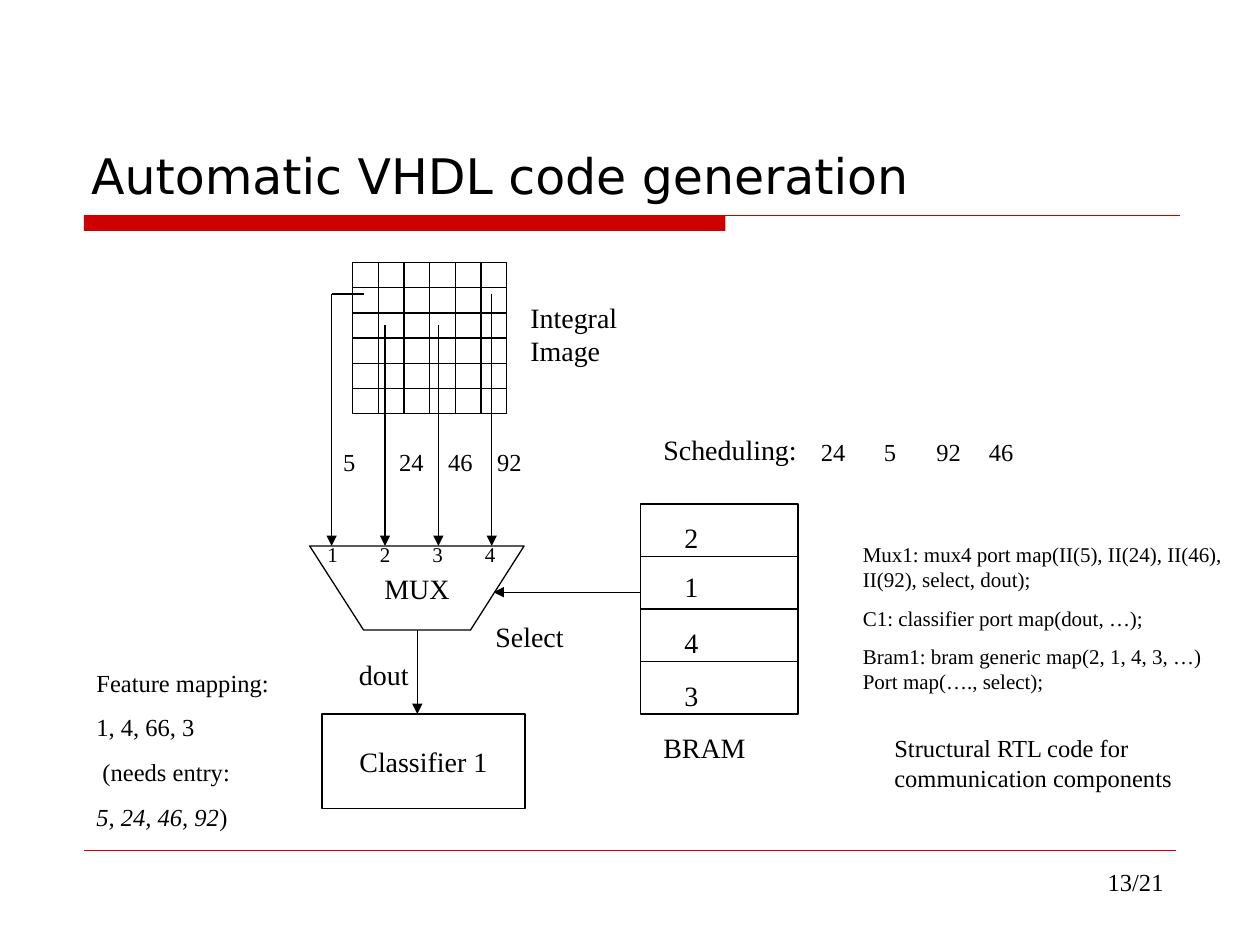
"""Build the slide on automatic VHDL code generation."""
from dataclasses import dataclass
from typing import Any

from lxml import etree
from pptx import Presentation
from pptx import util as u
from pptx.dml.color import RGBColor
from pptx.enum import shapes, text
from pptx.oxml.ns import qn

Point = tuple[float, float]


@dataclass(frozen=True)
class Theme:
    ink: RGBColor = RGBColor(0, 0, 0)
    paper: RGBColor = RGBColor(255, 255, 255)
    accent: RGBColor = RGBColor(0xCC, 0, 0)
    body_font: str = "Times New Roman"
    title_font: str = "DejaVu Sans"
    title: float = 28
    large: float = 16
    medium: float = 14
    small: float = 12
    stroke: float = 0.75
    hairline: float = 0.25
    spacing: float = 0.625


THEME = Theme()


@dataclass(frozen=True)
class Label:
    content: str
    left: float
    top: float
    width: float
    height: float
    size: float = THEME.large
    font: str = THEME.body_font
    spacing: float = THEME.spacing
    align: Any = text.PP_ALIGN.LEFT
    anchor: Any = text.MSO_ANCHOR.TOP
    tabs: tuple[float, ...] = ()
    italics: tuple[str, ...] = ()


@dataclass(frozen=True)
class Wire:
    start: Point
    end: Point
    arrow: bool = False
    color: RGBColor = THEME.ink
    width: float = THEME.stroke


def apply(target: Any, values: dict[str, Any]) -> None:
    for name, value in values.items():
        setattr(target, name, value)


def write_text(box: Any, label: Label, wrap: bool = True) -> None:
    frame = box.text_frame
    apply(frame, {
        "word_wrap": wrap, "vertical_anchor": label.anchor,
        "margin_left": u.Pt(7.2), "margin_right": u.Pt(7.2),
        "margin_top": u.Pt(3.6), "margin_bottom": u.Pt(3.6),
    })
    for index, content in enumerate(label.content.split("\n")):
        para = frame.add_paragraph() if index else frame.paragraphs[0]
        apply(para, {"alignment": label.align,
                     "space_before": u.Pt(label.size * label.spacing)})
        if label.tabs:
            stops = etree.SubElement(para._p.get_or_add_pPr(), qn("a:tabLst"))
            for stop in label.tabs:
                etree.SubElement(stops, qn("a:tab"), pos=str(u.Pt(stop)), algn="l")
        pieces = [(content, False)]
        for phrase in label.italics:
            if phrase in content:
                before, after = content.split(phrase)
                pieces = [(before, False), (phrase, True), (after, False)]
        for piece, italic in pieces:
            if piece:
                span = para.add_run()
                span.text = piece
                apply(span.font, {"name": label.font, "size": u.Pt(label.size),
                                  "italic": italic})
                span.font.color.rgb = THEME.ink


def draw_label(page: Any, label: Label) -> None:
    box = page.shapes.add_textbox(*map(u.Pt, (label.left, label.top, label.width, label.height)))
    write_text(box, label)


def paint(shape: Any, fill: RGBColor, outlined: bool = True) -> Any:
    shape.shadow.inherit = False
    shape.fill.solid()
    shape.fill.fore_color.rgb = fill
    if outlined:
        shape.line.color.rgb = THEME.ink
        shape.line.width = u.Pt(THEME.stroke)
    else:
        shape.line.fill.background()
    return shape


def draw_box(page: Any, left: float, top: float, width: float, height: float,
             fill: RGBColor = THEME.paper, outlined: bool = True) -> Any:
    box = page.shapes.add_shape(shapes.MSO_SHAPE.RECTANGLE,
                                *map(u.Pt, (left, top, width, height)))
    return paint(box, fill, outlined)


def draw_polygon(page: Any, corners: list[Point]) -> Any:
    points = [(u.Pt(x), u.Pt(y)) for x, y in corners]
    builder = page.shapes.build_freeform(*points[0])
    builder.add_line_segments(points[1:], close=True)
    return paint(builder.convert_to_shape(), THEME.paper)


def draw_wire(page: Any, wire: Wire) -> None:
    line = page.shapes.add_connector(shapes.MSO_CONNECTOR.STRAIGHT,
                                     *map(u.Pt, (*wire.start, *wire.end)))
    line.line.color.rgb = wire.color
    line.line.width = u.Pt(wire.width)
    if wire.arrow:
        etree.SubElement(line.line._get_or_add_ln(), qn("a:tailEnd"), type="triangle")
    etree.SubElement(line._element.spPr, qn("a:effectLst"))


def draw_grid(page: Any, left: float, top: float, width: float, height: float,
              columns: int, rows: int) -> None:
    draw_box(page, left, top, width, height)
    for row in range(1, rows):
        y = top + height * row / rows
        draw_wire(page, Wire((left, y), (left + width, y)))
    for column in range(1, columns):
        x = left + width * column / columns
        draw_wire(page, Wire((x, top), (x, top + height)))


def draw_frame(page: Any) -> None:
    draw_box(page, 48, 123, 366.5, 9, THEME.accent, outlined=False)
    draw_wire(page, Wire((48, 123), (674.5, 123), color=THEME.accent))
    draw_wire(page, Wire((48, 486), (672, 486), color=THEME.accent, width=THEME.hairline))
    draw_label(page, Label("13/21", 522, 492, 150, 36, THEME.medium, spacing=0,
                           align=text.PP_ALIGN.RIGHT))
    draw_label(page, Label("Automatic VHDL code generation", 45, 24, 630, 96, THEME.title,
                           THEME.title_font, 0, anchor=text.MSO_ANCHOR.BOTTOM))


def draw_diagram(page: Any) -> None:
    centred = {"spacing": 0, "align": text.PP_ALIGN.CENTER, "anchor": text.MSO_ANCHOR.MIDDLE}
    draw_grid(page, 366, 288, 90, 120, 1, 4)
    draw_grid(page, 201.6, 150, 88, 86.4, 6, 6)
    mux = draw_polygon(page, [(177, 312), (299.5, 312), (268.9, 360), (207.8, 360)])
    write_text(mux, Label("MUX", 177, 312, 122.5, 48, **centred), wrap=False)
    classifier = draw_box(page, 184, 408, 116, 54)
    write_text(classifier, Label("Classifier 1", 184, 408, 116, 54, **centred), wrap=False)
    for index, top in enumerate((168, 186, 186, 168)):
        x = 189.5 + 30.5 * index
        draw_wire(page, Wire((x, top), (x, 312), arrow=True))
    draw_wire(page, Wire((189.5, 168), (208, 168)))
    draw_wire(page, Wire((238.5, 360), (238.5, 408), arrow=True))
    draw_wire(page, Wire((366, 338.4), (282, 338.4), arrow=True))


def draw_labels(page: Any) -> None:
    code = ("Mux1: mux4 port map(II(5), II(24), II(46), II(92), select, dout);\n"
            "C1: classifier port map(dout, …);\n"
            "Bram1: bram generic map(2, 1, 4, 3, …) Port map(…., select);")
    mapping = "Feature mapping:\n1, 4, 66, 3\n (needs entry:\n5, 24, 46, 92)"
    labels = [
        Label("BRAM", 372, 414, 78, 26.5),
        Label("Select", 276, 350.5, 84, 26.5),
        Label("dout", 198, 372, 60, 26.5),
        Label("Scheduling:", 372, 243.5, 240, 26.5),
        Label("Integral Image", 296, 168, 79, 46),
        Label("\t5\t24\t46\t92", 168, 252, 177, 24.5, THEME.medium, tabs=(21, 53, 81, 109)),
        Label("1\t2\t3\t4", 180, 306, 120, 21.5, THEME.small, tabs=(30, 60, 90)),
        Label(mapping, 48, 378, 120, 126.5, THEME.medium, italics=("5, 24, 46, 92",)),
        Label("Structural RTL code for communication components",
              504, 415.5, 186, 41, THEME.medium),
    ]
    labels += [Label(entry, 384, top, 78, 26.5)
               for entry, top in zip("2143", (294, 322, 354, 384))]
    labels += [Label(entry, left, 246, 36, 24.5, THEME.medium)
               for entry, left in zip(("24", "5", "92", "46"), (462, 498, 528, 558))]
    listing = Label(code, 486, 306, 222, 160, THEME.small)
    write_text(draw_box(page, 486, 306, 222, 160, outlined=False), listing)
    for label in labels:
        draw_label(page, label)


def main() -> None:
    deck = Presentation()
    apply(deck, {"slide_width": u.Pt(720), "slide_height": u.Pt(540)})
    page = deck.slides.add_slide(deck.slide_layouts[6])
    for draw in (draw_frame, draw_diagram, draw_labels):
        draw(page)
    deck.save("out.pptx")


if __name__ == "__main__":
    main()
